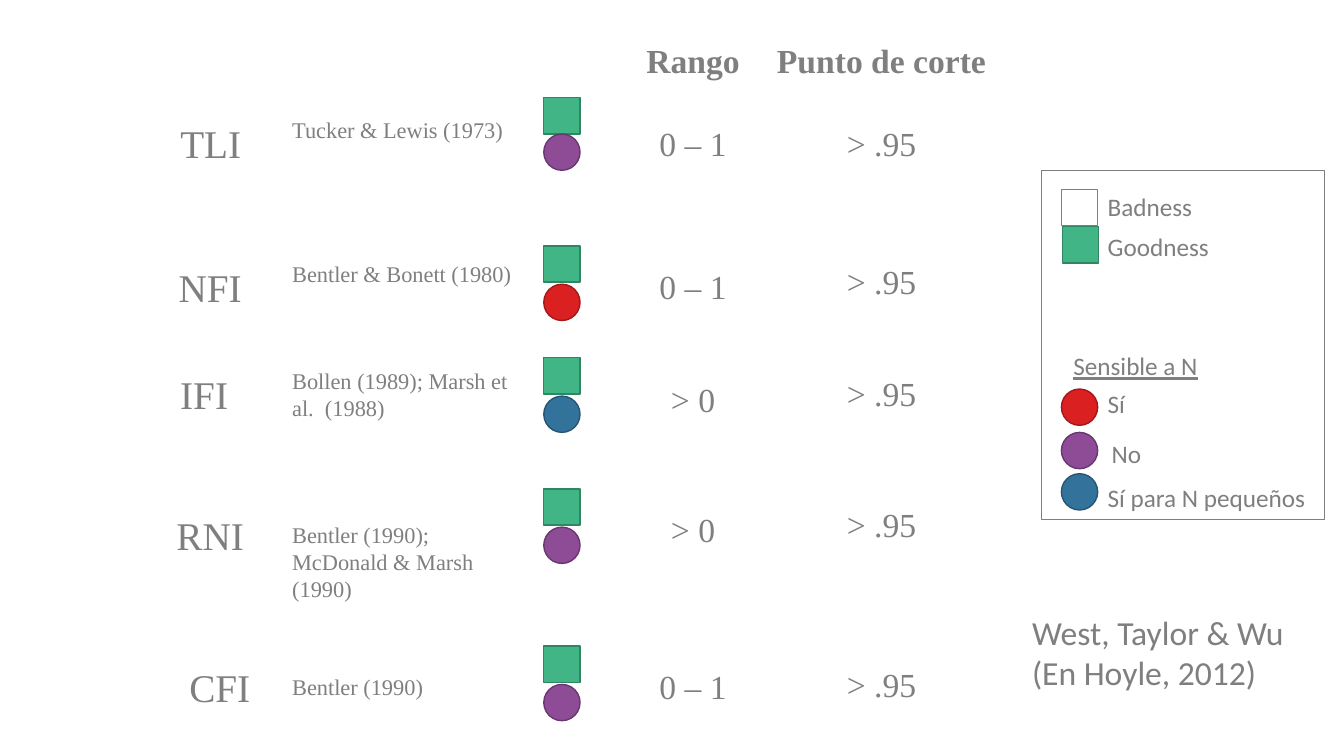
from pptx import Presentation
from pptx.dml.color import RGBColor
from pptx.enum.shapes import MSO_SHAPE
from pptx.enum.text import PP_ALIGN
from pptx.util import Inches, Pt

CELL = 0.1  # inches per grid column and row
COLS, ROWS = 133.33, 75
SIDE = 3.6  # side of a mark, in cells
INK = {
    "text": "7F7F7F", "white": "FFFFFF",
    "green": "41B586", "green_edge": "308663",
    "red": "DB2022", "red_edge": "A21819",
    "plum": "8E4B96", "plum_edge": "69376F",
    "blue": "33739B", "blue_edge": "265573",
}
SERIF, SANS = "Times New Roman", "Calibri"


def span(cells):
    return Inches(cells * CELL)


def tint(name):
    return RGBColor.from_string(INK[name])


class Sheet:
    def __init__(self):
        self.deck = Presentation()
        self.deck.slide_width, self.deck.slide_height = span(COLS), span(ROWS)
        self.slide = self.deck.slides.add_slide(self.deck.slide_layouts[6])

    def text(self, col, row, wide, high, words, size, font=SERIF,
             mid=False, bold=False, under=False):
        box = self.slide.shapes.add_textbox(*map(span, (col, row, wide, high)))
        box.text_frame.word_wrap = True
        para = box.text_frame.paragraphs[0]
        para.alignment = PP_ALIGN.CENTER if mid else PP_ALIGN.LEFT
        run = para.add_run()
        run.text = words
        run.font.name, run.font.size = font, Pt(size)
        run.font.bold, run.font.underline = bold, under
        run.font.color.rgb = tint("text")

    def shape(self, kind, col, row, wide, high, fill, edge, line=1):
        item = self.slide.shapes.add_shape(kind, *map(span, (col, row, wide, high)))
        item.shadow.inherit = False
        if fill:
            item.fill.solid()
            item.fill.fore_color.rgb = tint(fill)
        else:
            item.fill.background()
        item.line.color.rgb = tint(edge)
        item.line.width = Pt(line)

    def square(self, col, row, fill="green", edge="green_edge"):
        self.shape(MSO_SHAPE.RECTANGLE, col, row, SIDE, SIDE, fill, edge)

    def disc(self, col, row, hue):
        self.shape(MSO_SHAPE.OVAL, col, row, SIDE, SIDE, hue, hue + "_edge")

    def index(self, name, cite, square, disc, scope, cut):
        """Draw one fit index: name, citation, two marks, range and cut-off."""
        label, col, row = name
        self.text(col, row, 11.9, 5.7, label, 28, mid=True)
        words, row, high = cite
        self.text(28, row, 24.05, high, words, 16)
        self.square(53.95, square)
        hue, row = disc
        self.disc(53.95, row, hue)
        words, row = scope
        self.text(60.3, row, 16.9, 5, words, 24, mid=True)
        self.text(79, cut, 16.9, 5, "> .95", 24, mid=True)

    def key(self):
        """Draw the framed legend."""
        left, label = 105.3, 108.9
        self.square(left, 18.8, "white", "text")
        self.square(left + 0.1, 22.5)
        for words, row in (("Badness", 18.5), ("Goodness", 22.5)):
            self.text(label, row, 15.2, 4, words, 18, SANS)
        self.text(105.5, 34.3, 15, 4, "Sensible a N", 18, SANS, under=True)
        for hue, spot, words, col, row, wide in (
            ("red", 38.6, "Sí", label, 38, 11.6),
            ("plum", 42.9, "No", label + 0.4, 43, 11.6),
            ("blue", 47, "Sí para N pequeños", label, 47.4, 22.4),
        ):
            self.disc(left, spot, hue)
            self.text(col, row, wide, 4, words, 18, SANS)
        self.shape(MSO_SHAPE.RECTANGLE, 103.3, 16.9, 28.1, 34.6, None, "text", 0.75)


# name (text, column, row), citation (text, row, height), square row,
# disc (hue, row), range (text, row), cut-off row
FITS = [
    (("TLI", 14.95, 11.3), ("Tucker & Lewis (1973)", 11, 3.7),
     9.7, ("plum", 13.3), ("0 – 1", 11.7), 11.7),
    (("NFI", 14.9, 25.6), ("Bentler & Bonett (1980)", 25.3, 6.4),
     24.4, ("red", 28.2), ("0 – 1", 25.9), 25.4),
    (("IFI", 14.3, 36.2), ("Bollen (1989); Marsh et al.  (1988)", 35.9, 6.4),
     35.5, ("blue", 39.3), ("> 0", 37.1), 36.5),
    (("RNI", 14.9, 50.2), ("Bentler (1990); McDonald & Marsh (1990)", 51.2, 9.1),
     48.5, ("plum", 52.3), ("> 0", 50), 49.5),
    (("CFI", 15.85, 65.3), ("Bentler (1990)", 66.3, 3.7),
     64.1, ("plum", 67.9), ("0 – 1", 65.6), 65.4),
]


def main():
    sheet = Sheet()
    for words, col, wide in (("Rango", 60.3, 16.9), ("Punto de corte", 75.8, 23.3)):
        sheet.text(col, 3.5, wide, 5, words, 24, mid=True, bold=True)
    for fit in FITS:
        sheet.index(*fit)
    sheet.key()
    sheet.text(101.4, 60.2, 31.9, 9.1, "West, Taylor & Wu (En Hoyle, 2012)", 24, SANS)
    sheet.deck.save("out.pptx")


if __name__ == "__main__":
    main()
